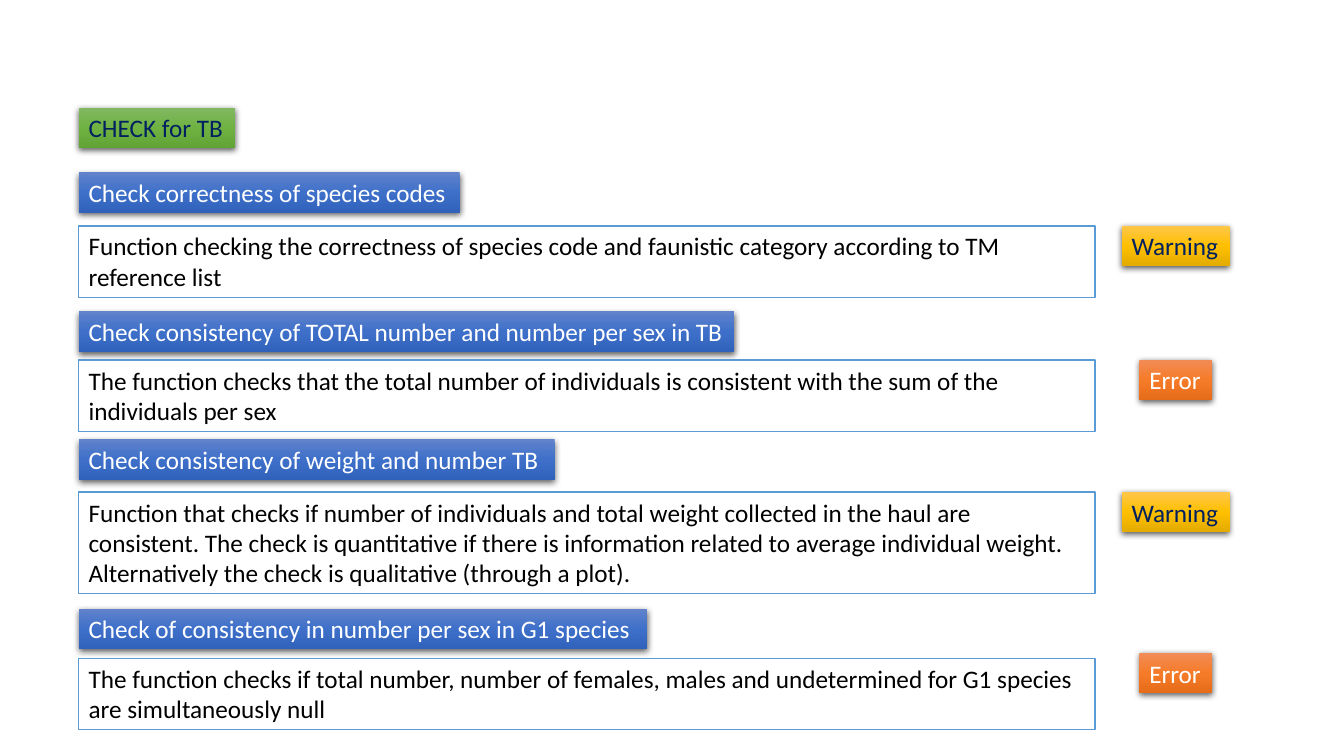
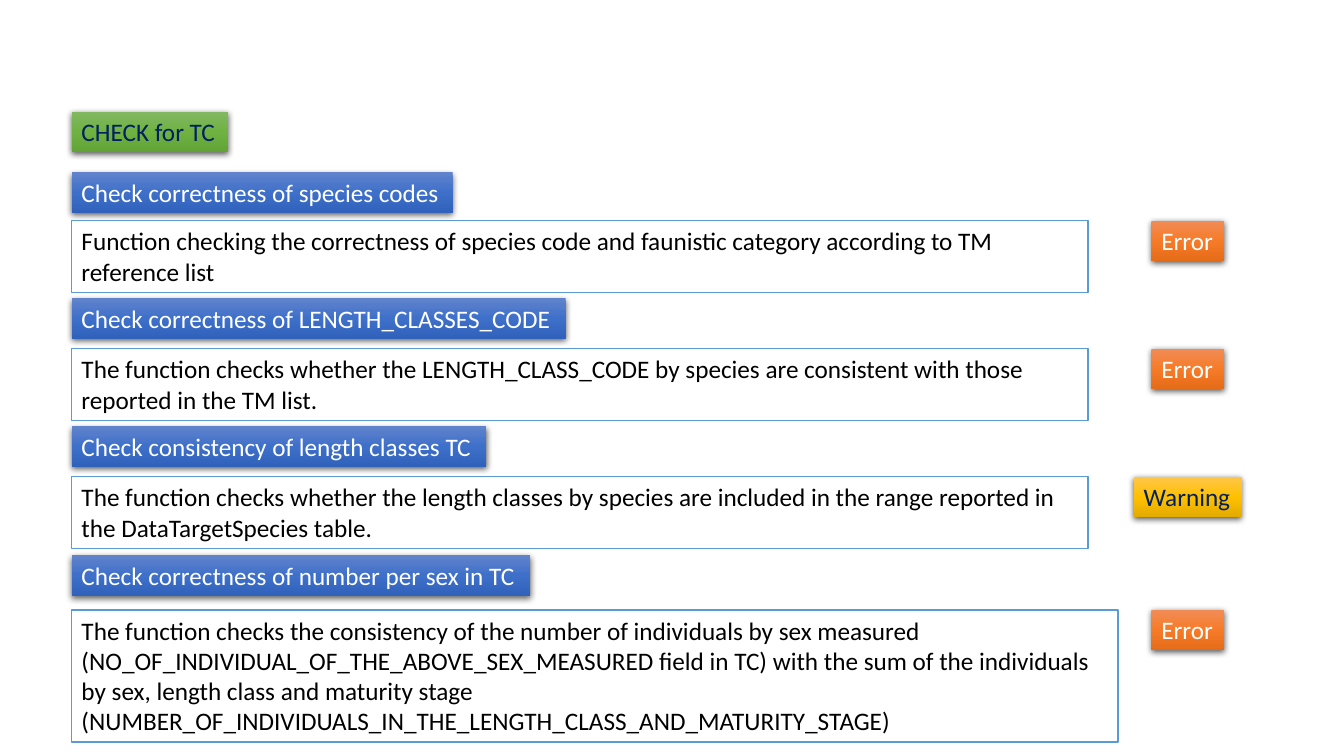
from dataclasses import dataclass

from pptx import Presentation
from pptx.dml.color import RGBColor
from pptx.enum.text import MSO_ANCHOR, MSO_AUTO_SIZE, PP_ALIGN
from pptx.oxml import parse_xml
from pptx.oxml.ns import nsdecls, qn
from pptx.util import Inches, Pt

LEFT = PP_ALIGN.LEFT
TOP = MSO_ANCHOR.TOP
FIT_SHAPE = MSO_AUTO_SIZE.SHAPE_TO_FIT_TEXT
BLANK_LAYOUT = 6


@dataclass(frozen=True)
class Theme:
    font: str = "Calibri"
    text_size: int = 18
    dark: str = "000000"
    light: str = "FFFFFF"
    navy: str = "002060"
    outline: str = "5B9BD5"
    outline_width: float = 1
    green: tuple = ("81B861", "6FB242", "62A336")
    blue: tuple = ("6183CB", "3E70CA", "3062BB")
    orange: tuple = ("F18C57", "F67B28", "E56C19")
    amber: tuple = ("FFC64B", "FFC000", "E3AB00")


THEME = Theme()

LABEL_HEIGHT = 0.4
LINE_HEIGHT = 0.3
BODY_PADDING = 0.11

# Severity: label width, gradient, text colour
SEVERITIES = {
    "Error": (0.72, THEME.orange, THEME.light),
    "Warning": (1.07, THEME.amber, THEME.navy),
}


@dataclass(frozen=True)
class Check:
    title: str
    title_top: float
    title_width: float
    description: str
    body_top: float
    severity: str
    lines: int = 2
    body_width: float = 10.08
    severity_shift: float = 0


SPECIES_TITLE = "Check correctness of species codes"
SPECIES_DESCRIPTION = (
    "Function checking the correctness of species code and faunistic category "
    "according to TM reference list"
)

TB_CHECKS = [
    Check(SPECIES_TITLE, 1.71, 3.78, SPECIES_DESCRIPTION, 2.24, "Warning"),
    Check(
        "Check consistency of TOTAL number and number per sex in TB", 3.09, 6.5,
        "The function checks that the total number of individuals is consistent "
        "with the sum of the individuals per sex",
        3.57, "Error",
    ),
    Check(
        "Check consistency of weight and number TB", 4.36, 4.72,
        "Function that checks if number of individuals and total weight collected "
        "in the haul are consistent. The check is quantitative if there is "
        "information related to average individual weight. Alternatively the check "
        "is qualitative (through a plot).",
        4.88, "Warning", lines=3,
    ),
    Check(
        "Check of consistency in number per sex in G1 species", 6.04, 5.64,
        "The function checks if total number, number of females, males and "
        "undetermined for G1 species are simultaneously null",
        6.53, "Error", severity_shift=-0.05,
    ),
]

TC_CHECKS = [
    Check(SPECIES_TITLE, 1.71, 3.78, SPECIES_DESCRIPTION, 2.19, "Error"),
    Check(
        "Check correctness of LENGTH_CLASSES_CODE", 2.96, 4.9,
        "The function checks whether the LENGTH_CLASS_CODE by species are "
        "consistent with those reported in the TM list.",
        3.46, "Error",
    ),
    Check(
        "Check consistency of length classes TC", 4.23, 4.11,
        "The function checks whether the length classes by species are included "
        "in the range reported in the DataTargetSpecies table.",
        4.73, "Warning",
    ),
    Check(
        "Check correctness of number per sex in TC", 5.51, 4.55,
        "The function checks the consistency of the number of individuals by sex "
        "measured (NO_OF_INDIVIDUAL_OF_THE_ABOVE_SEX_MEASURED field in TC) with the "
        "sum of the individuals by sex, length class and maturity stage "
        "(NUMBER_OF_INDIVIDUALS_IN_THE_LENGTH_CLASS_AND_MATURITY_STAGE)",
        6.05, "Error", lines=4, body_width=10.38,
    ),
]


def add_text(slide, text, left, top, width, height, *, color, wrap):
    box = slide.shapes.add_textbox(
        Inches(left), Inches(top), Inches(width), Inches(height)
    )
    frame = box.text_frame
    frame.word_wrap = wrap
    frame.auto_size = FIT_SHAPE
    frame.vertical_anchor = TOP
    paragraph = frame.paragraphs[0]
    paragraph.alignment = LEFT
    run = paragraph.add_run()
    run.text = text
    run.font.name = THEME.font
    run.font.size = Pt(THEME.text_size)
    run.font.color.rgb = RGBColor.from_string(color)
    return box


def apply_raised_look(box, gradient):
    """Give the box a top-to-bottom gradient and a soft shadow below it."""
    stops = "".join(
        f'<a:gs pos="{position}"><a:srgbClr val="{color}"/></a:gs>'
        for position, color in zip((0, 50000, 100000), gradient)
    )
    properties = box.element.spPr
    properties.replace(
        properties.find(qn("a:noFill")),
        parse_xml(
            f'<a:gradFill {nsdecls("a")} rotWithShape="1"><a:gsLst>{stops}</a:gsLst>'
            '<a:lin ang="5400000" scaled="0"/></a:gradFill>'
        ),
    )
    properties.append(parse_xml(
        f'<a:effectLst {nsdecls("a")}><a:outerShdw blurRad="{Pt(4.5)}" '
        f'dist="{Pt(1.5)}" dir="5400000" algn="ctr" rotWithShape="0">'
        '<a:srgbClr val="000000"><a:alpha val="63000"/></a:srgbClr>'
        '</a:outerShdw></a:effectLst>'
    ))


def add_label(slide, text, left, top, width, gradient, color):
    label = add_text(
        slide, text, left, top, width, LABEL_HEIGHT, color=color, wrap=False
    )
    apply_raised_look(label, gradient)


def add_description(slide, text, left, top, width, lines):
    height = BODY_PADDING + lines * LINE_HEIGHT
    box = add_text(
        slide, text, left, top, width, height, color=THEME.dark, wrap=True
    )
    box.fill.solid()
    box.fill.fore_color.rgb = RGBColor.from_string(THEME.light)
    box.line.color.rgb = RGBColor.from_string(THEME.outline)
    box.line.width = Pt(THEME.outline_width)


def add_check(slide, check, left, severity_center):
    add_label(slide, check.title, left, check.title_top, check.title_width,
              THEME.blue, THEME.light)
    add_description(slide, check.description, left, check.body_top,
                    check.body_width, check.lines)
    width, gradient, color = SEVERITIES[check.severity]
    add_label(slide, check.severity, severity_center - width / 2,
              check.body_top + check.severity_shift, width, gradient, color)


def add_check_slide(deck, heading, checks, left, heading_top, severity_center):
    slide = deck.slides.add_slide(deck.slide_layouts[BLANK_LAYOUT])
    add_label(slide, heading, left, heading_top, 1.55, THEME.green, THEME.navy)
    for check in checks:
        add_check(slide, check, left, severity_center)


def main():
    deck = Presentation()
    deck.slide_width = Inches(13.33)
    deck.slide_height = Inches(7.5)
    add_check_slide(deck, "CHECK for TB", TB_CHECKS, left=0.78,
                    heading_top=1.07, severity_center=11.66)
    add_check_slide(deck, "CHECK for TC", TC_CHECKS, left=0.71,
                    heading_top=1.11, severity_center=11.78)
    deck.save("out.pptx")


if __name__ == "__main__":
    main()
